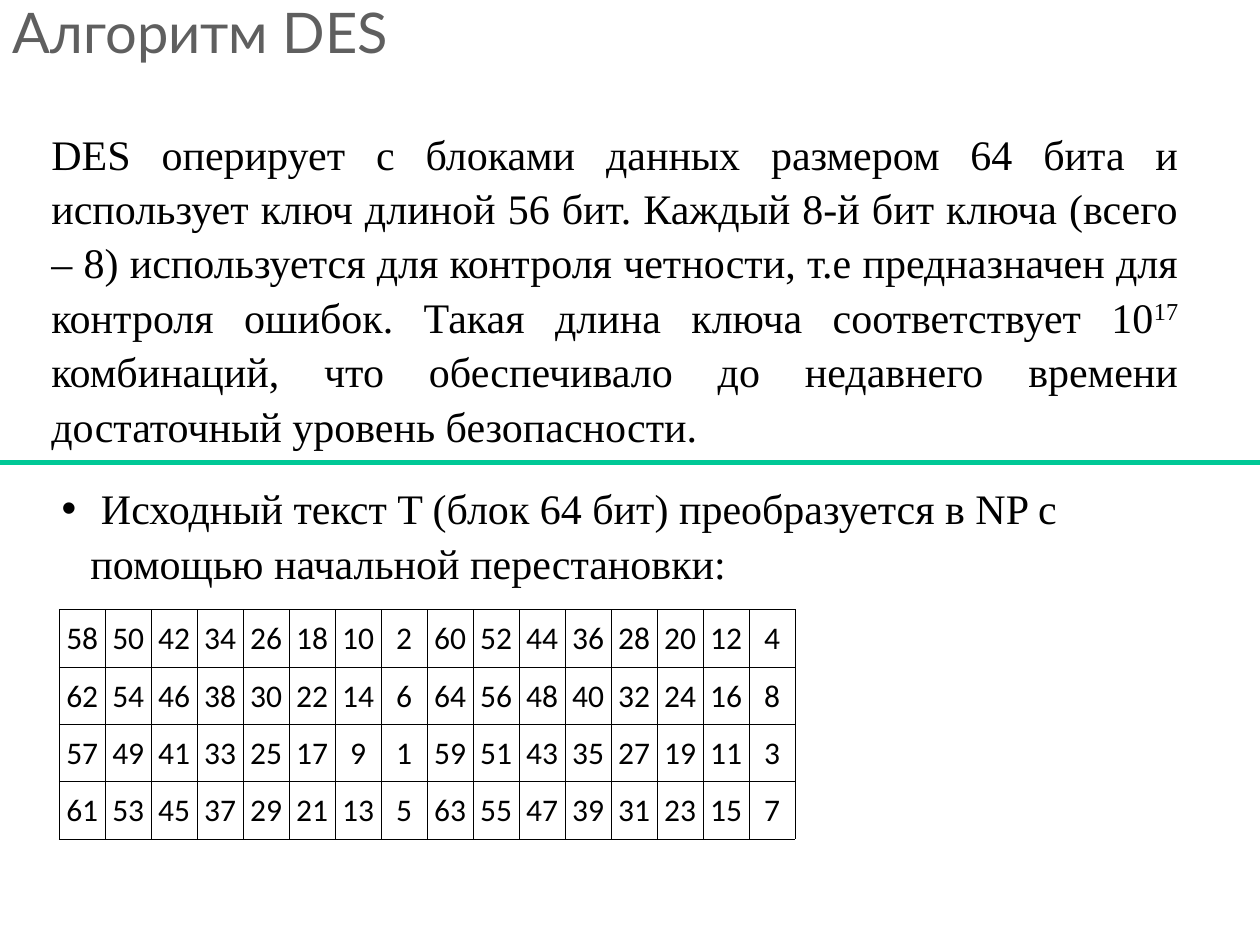
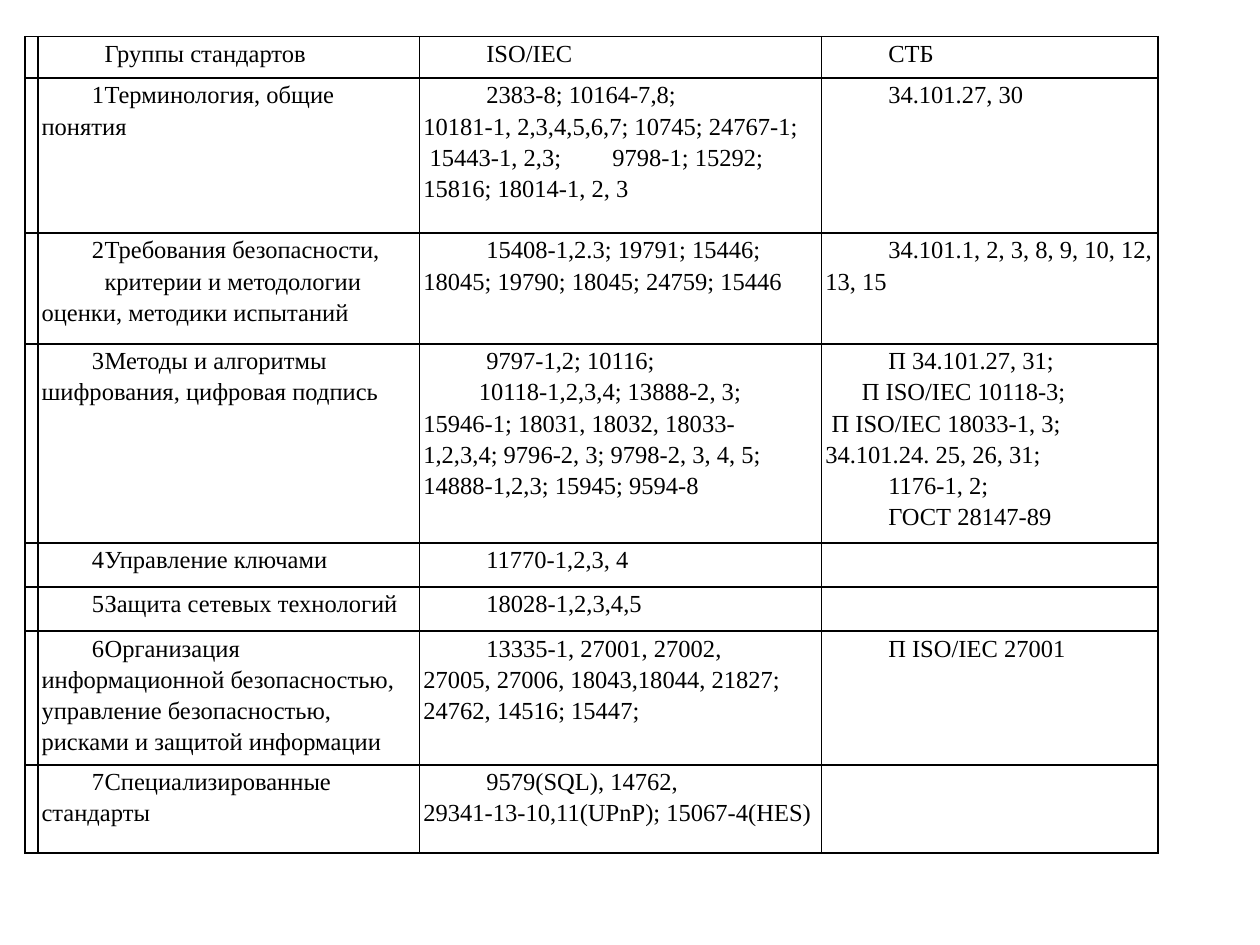
from dataclasses import dataclass

from lxml import etree
from pptx import Presentation
from pptx.dml.color import RGBColor
from pptx.enum.shapes import MSO_CONNECTOR
from pptx.enum.text import MSO_ANCHOR, PP_ALIGN
from pptx.oxml.ns import qn
from pptx.util import Inches, Pt

STRAIGHT = MSO_CONNECTOR.STRAIGHT
TOP, MIDDLE = MSO_ANCHOR.TOP, MSO_ANCHOR.MIDDLE
LEFT, CENTER, JUSTIFY = PP_ALIGN.LEFT, PP_ALIGN.CENTER, PP_ALIGN.JUSTIFY


@dataclass(frozen=True)
class Theme:
    ink: str = "000000"
    heading: str = "5F5F5F"
    accent: str = "00C896"
    heading_font: str = "Lato"
    body_font: str = "Times New Roman"
    number_font: str = "Calibri"
    heading_size: int = 32
    body_size: int = 24
    number_size: int = 18
    cell_size: int = 14


THEME = Theme()


def write(frame, paragraphs, *, font=THEME.body_font, size=THEME.body_size,
          color=THEME.ink, align=LEFT, spacing=1.0, indent=0, margin=0,
          bullet=None, tab=None):
    """Fill a frame with paragraphs, each a text, a (text, indent) pair or a list of (text, baseline) runs."""
    if isinstance(paragraphs, str):
        paragraphs = [paragraphs]
    for index, content in enumerate(paragraphs):
        first_indent = indent
        if isinstance(content, tuple):
            content, first_indent = content
        runs = [(content, 0)] if isinstance(content, str) else content
        paragraph = frame.paragraphs[0] if index == 0 else frame.add_paragraph()
        paragraph.alignment = align
        paragraph.line_spacing = spacing
        properties = paragraph._p.get_or_add_pPr()
        properties.set("marL", str(Inches(margin)))
        properties.set("indent", str(Inches(first_indent)))
        if bullet:
            etree.SubElement(properties, qn("a:buFont")).set("typeface", "Arial")
            etree.SubElement(properties, qn("a:buChar")).set("char", bullet)
        if tab and "\t" in runs[0][0]:
            stops = etree.SubElement(properties, qn("a:tabLst"))
            etree.SubElement(stops, qn("a:tab"), pos=str(Inches(tab)), algn="l")
        for text, baseline in runs:
            for number, line in enumerate(text.split("\v")):
                if number:
                    paragraph.add_line_break()
                run = paragraph.add_run()
                run.text = line
                run.font.name = font
                run.font.size = Pt(size)
                run.font.color.rgb = RGBColor.from_string(color)
                if baseline:
                    run.font._element.set("baseline", str(baseline * 1000))


class Deck:
    """Holds the theme and the slide being built."""

    def __init__(self, theme):
        self.theme = theme
        self.presentation = Presentation()
        self.presentation.slide_width = Inches(10)
        self.presentation.slide_height = Inches(7.5)
        self.slide = None

    def new_slide(self):
        self.slide = self.presentation.slides.add_slide(self.presentation.slide_layouts[6])

    def text(self, box, paragraphs, anchor=TOP, **style):
        frame = self.slide.shapes.add_textbox(*map(Inches, box)).text_frame
        frame.word_wrap = True
        frame.vertical_anchor = anchor
        write(frame, paragraphs, **style)

    def title(self, heading):
        self.text((0, 0, 10, 0.5), heading, MIDDLE, font=self.theme.heading_font,
                  size=self.theme.heading_size, color=self.theme.heading)

    def rule(self, y):
        rule = self.slide.shapes.add_connector(STRAIGHT, 0, Inches(y), Inches(10), Inches(y))
        rule.line.color.rgb = RGBColor.from_string(self.theme.accent)
        rule.line.width = Pt(2.5)
        etree.SubElement(rule._element.spPr, qn("a:effectLst"))

    def border(self, cell, width):
        properties = cell._tc.get_or_add_tcPr()
        for position, side in enumerate(("lnL", "lnR", "lnT", "lnB")):
            line = etree.Element(qn(f"a:{side}"), w=str(Pt(width)))
            fill = etree.SubElement(line, qn("a:solidFill"))
            etree.SubElement(fill, qn("a:srgbClr"), val=self.theme.ink)
            properties.insert(position, line)

    def table(self, left, top, widths, heights, rows, insets, border, anchor=TOP, **style):
        box = (left, top, sum(widths), sum(heights))
        table = self.slide.shapes.add_table(len(heights), len(widths), *map(Inches, box)).table
        table.first_row = table.horz_banding = False
        for column, width in zip(table.columns, widths):
            column.width = Inches(width)
        for row, height, contents in zip(table.rows, heights, rows):
            row.height = Inches(height)
            for cell, content in zip(row.cells, contents):
                cell.fill.background()
                cell.vertical_anchor = anchor
                (cell.margin_left, cell.margin_top,
                 cell.margin_right, cell.margin_bottom) = map(Inches, insets)
                self.border(cell, border)
                if content:
                    write(cell.text_frame, content, **style)


STANDARDS = [
    ("", "Группы стандартов", "ISO/IEC", "СТБ"),
    ("1", "Терминология, общие понятия",
     ["2383-8; 10164-7,8;",
      ("10181-1, 2,3,4,5,6,7; 10745; 24767-1;", 0),
      ("15443-1, 2,3;\t9798-1; 15292;", 0.05),
      ("15816; 18014-1, 2, 3", 0)],
     "34.101.27, 30"),
    ("2", ["Требования безопасности,", "критерии и методологии оценки, методики испытаний"],
     "15408-1,2.3; 19791; 15446;\v18045; 19790; 18045; 24759; 15446",
     "34.101.1, 2, 3, 8, 9, 10, 12, 13, 15"),
    ("3", "Методы и алгоритмы шифрования, цифровая подпись",
     ["9797-1,2; 10116;",
      ("10118-1,2,3,4; 13888-2, 3;\v15946-1; 18031, 18032, 18033-\v1,2,3,4; "
       "9796-2, 3; 9798-2, 3, 4, 5;\v14888-1,2,3; 15945; 9594-8", 0.44)],
     ["П 34.101.27, 31;",
      ("П ISO/IEC 10118-3;", 0.29),
      ("П ISO/IEC 18033-1, 3;\v34.101.24. 25, 26, 31;", 0.05),
      "1176-1, 2;",
      "ГОСТ 28147-89"]),
    ("4", "Управление ключами", "11770-1,2,3, 4", ""),
    ("5", "Защита сетевых технологий", "18028-1,2,3,4,5", ""),
    ("6", "Организация информационной безопасностью,\vуправление безопасностью,\v"
          "рисками и защитой информации",
     "13335-1, 27001, 27002,\v27005, 27006, 18043,18044, 21827;\v24762, 14516; 15447;",
     "П ISO/IEC 27001"),
    ("7", "Специализированные стандарты",
     ["9579(SQL), 14762,", ("29341-13-10,11(UPnP); 15067-4(HES)", 0)], ""),
]


def build_des_slide(deck):
    deck.new_slide()
    deck.title("Алгоритм DES")
    deck.text((0.31, 1.02, 9.14, 2.52), [[
        ("DES оперирует с блоками данных размером 64 бита и использует ключ длиной 56 бит. "
         "Каждый 8-й бит ключа (всего – 8) используется для контроля четности, т.е "
         "предназначен для контроля ошибок. Такая длина ключа соответствует 10", 0),
        ("17", 30),
        (" комбинаций, что обеспечивало до недавнего времени достаточный уровень "
         "безопасности.", 0),
    ]], MIDDLE, align=JUSTIFY, spacing=1.08)
    deck.text((0.39, 3.75, 9.06, 0.91),
              " Исходный текст T (блок 64 бит) преобразуется в NP c помощью начальной перестановки:",
              spacing=1.08, margin=0.23, indent=-0.23, bullet="•")
    permutation = [[str(start + 2 * (column // 8) - 8 * (column % 8)) for column in range(16)]
                   for start in (58, 62, 57, 61)]
    deck.table(0.47, 4.84, [5.84 / 16] * 16, [1.82 / 4] * 4, permutation,
               (0.01, 0.01, 0.01, 0), 0.5, MIDDLE, align=CENTER,
               font=deck.theme.number_font, size=deck.theme.number_size)
    deck.rule(3.67)


def build_standards_slide(deck):
    deck.new_slide()
    deck.table(0.2, 0.29, [0.1, 3.03, 3.19, 2.67],
               [0.33, 1.23, 0.88, 1.58, 0.35, 0.35, 1.06, 0.7], STANDARDS,
               (0.03, 0, 0.03, 0), 1, size=deck.theme.cell_size,
               spacing=1.15, indent=0.5, tab=1.67)


def main():
    deck = Deck(THEME)
    build_des_slide(deck)
    build_standards_slide(deck)
    deck.presentation.save("out.pptx")


if __name__ == "__main__":
    main()
